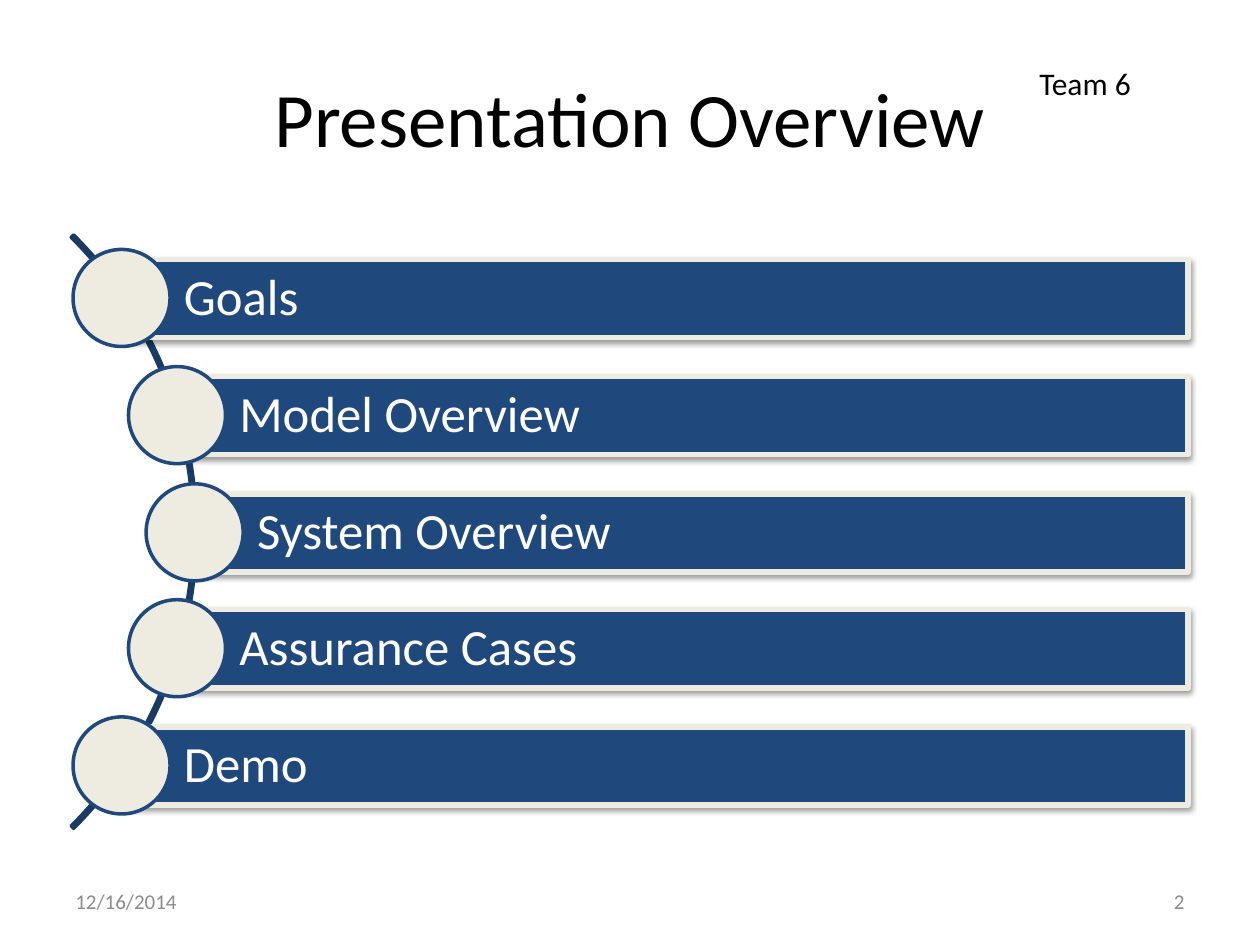
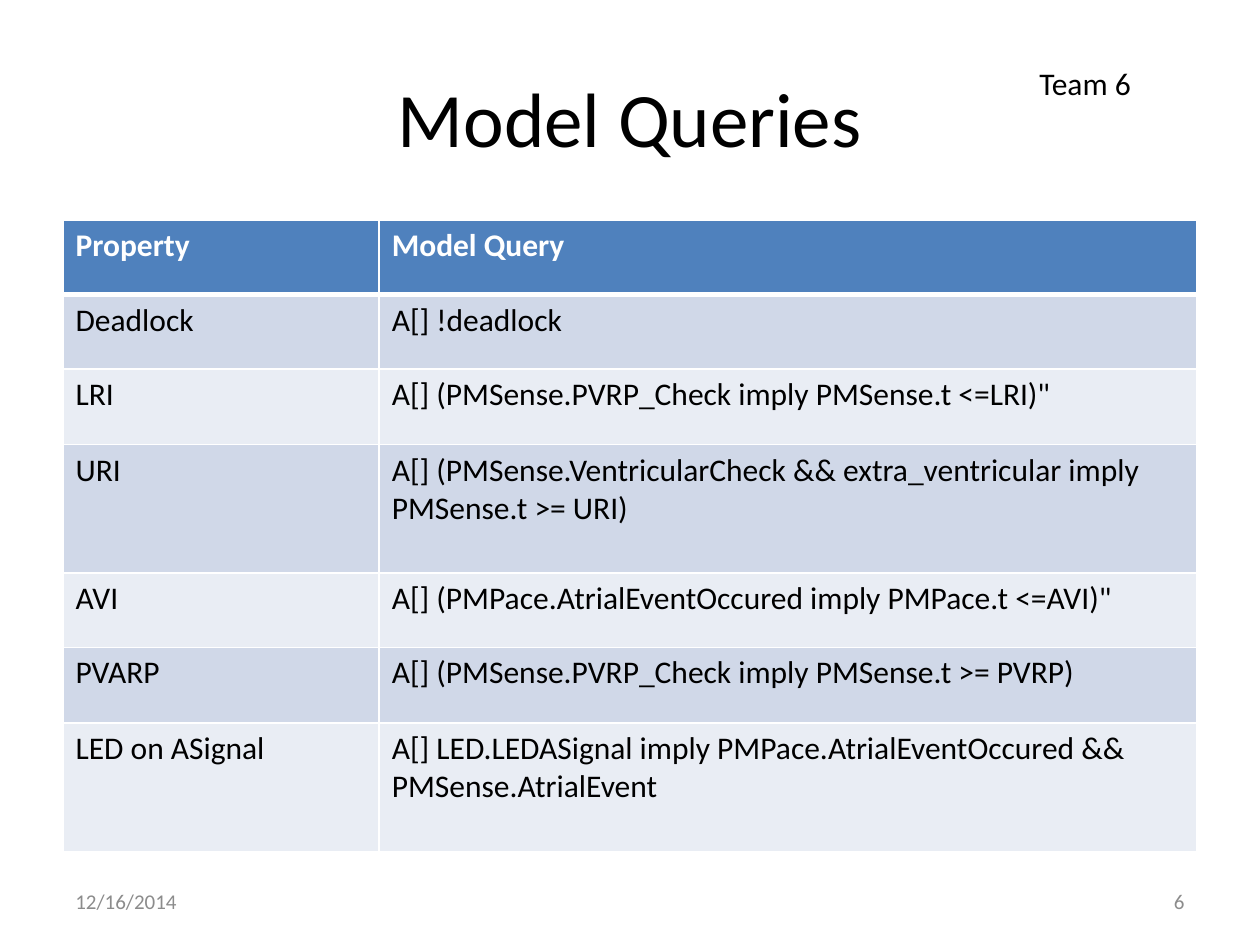
"""Build the overview and model query slides of the Team 6 presentation."""
from dataclasses import dataclass

from lxml.etree import SubElement
from pptx import Presentation
from pptx.dml.color import RGBColor
from pptx.enum.shapes import MSO_SHAPE as Shape
from pptx.enum.text import MSO_ANCHOR as Anchor, MSO_AUTO_SIZE as AutoSize, PP_ALIGN as Align
from pptx.oxml.ns import qn
from pptx.util import Pt


@dataclass(frozen=True)
class Theme:
    font: str = "Calibri"
    black: RGBColor = RGBColor(0x00, 0x00, 0x00)
    white: RGBColor = RGBColor(0xFF, 0xFF, 0xFF)
    grey: RGBColor = RGBColor(0x8C, 0x8C, 0x8C)
    navy: RGBColor = RGBColor(0x1F, 0x49, 0x7D)
    arc: RGBColor = RGBColor(0x19, 0x3A, 0x64)
    cream: RGBColor = RGBColor(0xEE, 0xEC, 0xE1)
    header: RGBColor = RGBColor(0x4F, 0x81, 0xBD)
    odd_row: RGBColor = RGBColor(0xD0, 0xD8, 0xE8)
    even_row: RGBColor = RGBColor(0xE9, 0xED, 0xF4)
    title_size: int = 44
    bar_size: int = 29
    body_size: int = 18
    footer_size: int = 12


def style_text(frame, size, color, align=Align.LEFT, bold=False):
    for para in frame.paragraphs:
        para.alignment = align
        for span in para.runs:
            span.font.name = theme.font
            span.font.size = Pt(size)
            span.font.color.rgb = color
            span.font.bold = bold


def add_shape(page, kind, left, top, width, height, fill, line, line_width):
    shape = page.shapes.add_shape(kind, left * PX, top * PX, width * PX, height * PX)
    shape.shadow.inherit = False
    if fill is None:
        shape.fill.background()
    else:
        shape.fill.solid()
        shape.fill.fore_color.rgb = fill
    shape.line.color.rgb = line
    shape.line.width = Pt(line_width)
    return shape


PX = 9144
theme = Theme()
deck = Presentation()
deck.slide_width, deck.slide_height = 1000 * PX, 750 * PX
title_only = deck.slide_layouts[5]

pages = []
for heading, number in [("Presentation Overview", "2"), ("Model Queries", "6")]:
    page = deck.slides.add_slide(title_only)
    pages.append(page)
    title = page.shapes.title
    title.left, title.top, title.width, title.height = 50 * PX, 30 * PX, 900 * PX, 125 * PX
    title.text_frame.text = heading
    title.text_frame.vertical_anchor = Anchor.MIDDLE
    style_text(title.text_frame, theme.title_size, theme.black, Align.CENTER)

    for text, left, top, width, size, color, align, anchor in [
        ("12/16/2014", 50, 695, 233, theme.footer_size, theme.grey, Align.LEFT, Anchor.MIDDLE),
        (number, 717, 695, 233, theme.footer_size, theme.grey, Align.RIGHT, Anchor.MIDDLE),
        ("Team 6", 815, 46, 151, theme.body_size, theme.black, Align.LEFT, Anchor.TOP),
    ]:
        box = page.shapes.add_textbox(left * PX, top * PX, width * PX, 40 * PX)
        frame = box.text_frame
        frame.text = text
        frame.word_wrap = True
        frame.vertical_anchor = anchor
        frame.auto_size = AutoSize.SHAPE_TO_FIT_TEXT if anchor == Anchor.TOP else AutoSize.NONE
        style_text(frame, size, color, align)

overview, queries = pages

arc = add_shape(overview, Shape.BLOCK_ARC, -510, 89, 666, 666, None, theme.arc, 2)
for index, value in enumerate([189, 27, 0.004]):
    arc.adjustments[index] = value

topics = [
    ("Goals", 97),
    ("Model Overview", 141),
    ("System Overview", 155),
    ("Assurance Cases", 141),
    ("Demo", 97),
]
bar_right = 943
for index, (topic, left) in enumerate(topics):
    top = round(206 + index * 92.75)
    bar = add_shape(overview, Shape.RECTANGLE, left, top, bar_right - left, 62,
                    theme.navy, theme.cream, 3)
    effects = bar._element.spPr.find(qn("a:effectLst"))
    shadow = SubElement(effects, qn("a:outerShdw"), blurRad=str(Pt(3.1)), dist=str(Pt(1.6)),
                        dir="5400000", rotWithShape="0")
    shade = SubElement(shadow, qn("a:srgbClr"), val=str(theme.black))
    SubElement(shade, qn("a:alpha"), val="38000")

    frame = bar.text_frame
    frame.text = topic
    frame.word_wrap = True
    frame.vertical_anchor = Anchor.MIDDLE
    frame.margin_left = 49 * PX
    frame.margin_top = frame.margin_right = frame.margin_bottom = 8 * PX
    frame.paragraphs[0].line_spacing = 0.9
    style_text(frame, theme.bar_size, theme.white)

    add_shape(overview, Shape.OVAL, left - 39, top - 8, 77, 77, theme.cream, theme.navy, 2)

query_rows = [
    ("Property", "Model Query"),
    ("Deadlock", "A[] !deadlock"),
    ("LRI", 'A[] (PMSense.PVRP_Check imply PMSense.t <=LRI)"'),
    ("URI", "A[] (PMSense.VentricularCheck && extra_ventricular imply PMSense.t >= URI)"),
    ("AVI", 'A[] (PMPace.AtrialEventOccured imply PMPace.t <=AVI)"'),
    ("PVARP", "A[] (PMSense.PVRP_Check imply PMSense.t >= PVRP)"),
    ("LED on ASignal", "A[] LED.LEDASignal imply PMPace.AtrialEventOccured && PMSense.AtrialEvent"),
]
row_heights = [59, 59, 60, 102, 59, 60, 102]
table = queries.shapes.add_table(len(query_rows), 2, 50 * PX, 175 * PX,
                                 900 * PX, sum(row_heights) * PX).table
for column, width in zip(table.columns, [251, 649]):
    column.width = width * PX

for index, (texts, height) in enumerate(zip(query_rows, row_heights)):
    table.rows[index].height = height * PX
    is_header = index == 0
    fill = theme.header if is_header else theme.odd_row if index % 2 else theme.even_row
    border_widths = {"L": 1, "R": 1, "T": 3 if index == 1 else 1, "B": 3 if is_header else 1}
    for cell, text in zip(table.rows[index].cells, texts):
        cell.text_frame.text = text
        style_text(cell.text_frame, theme.body_size,
                   theme.white if is_header else theme.black, bold=is_header)
        properties = cell._tc.get_or_add_tcPr()
        for side, width in border_widths.items():
            border = SubElement(properties, qn(f"a:ln{side}"), w=str(Pt(width)))
            paint = SubElement(border, qn("a:solidFill"))
            SubElement(paint, qn("a:srgbClr"), val=str(theme.white))
        cell.fill.solid()
        cell.fill.fore_color.rgb = fill

deck.save("out.pptx")
